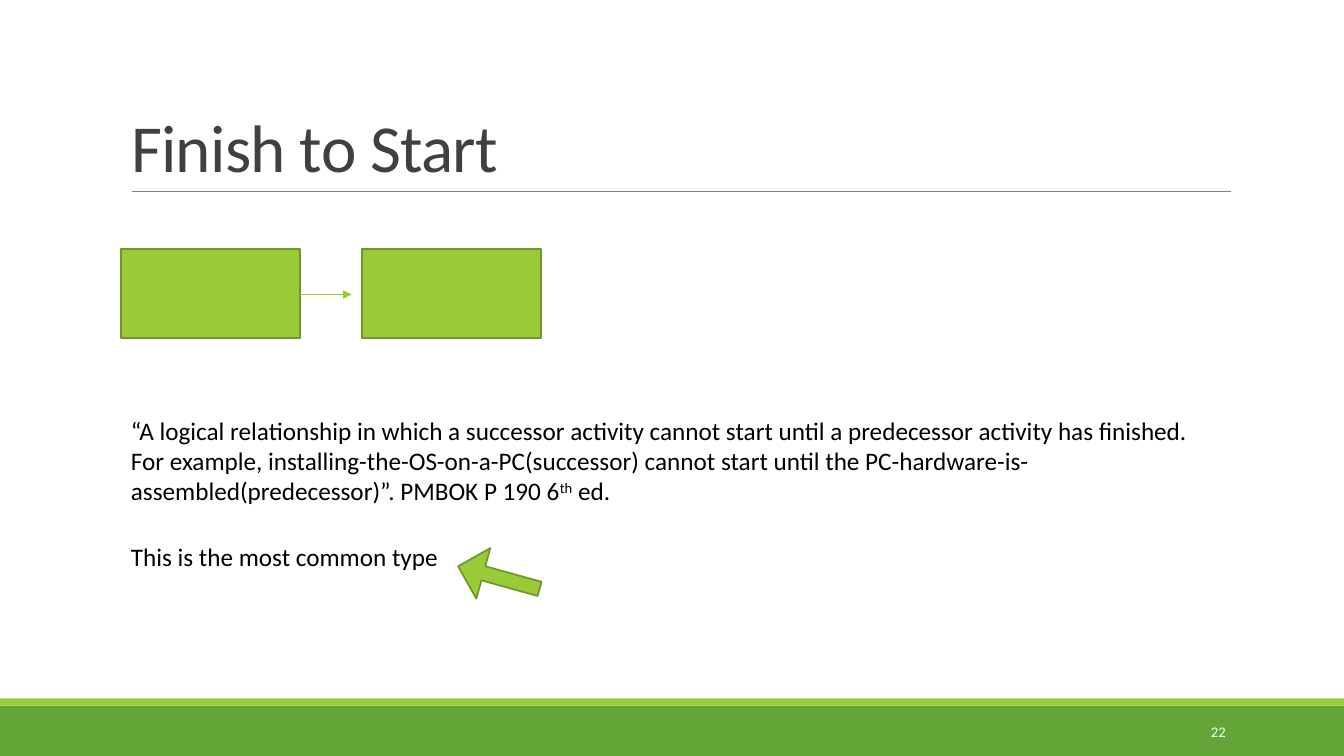
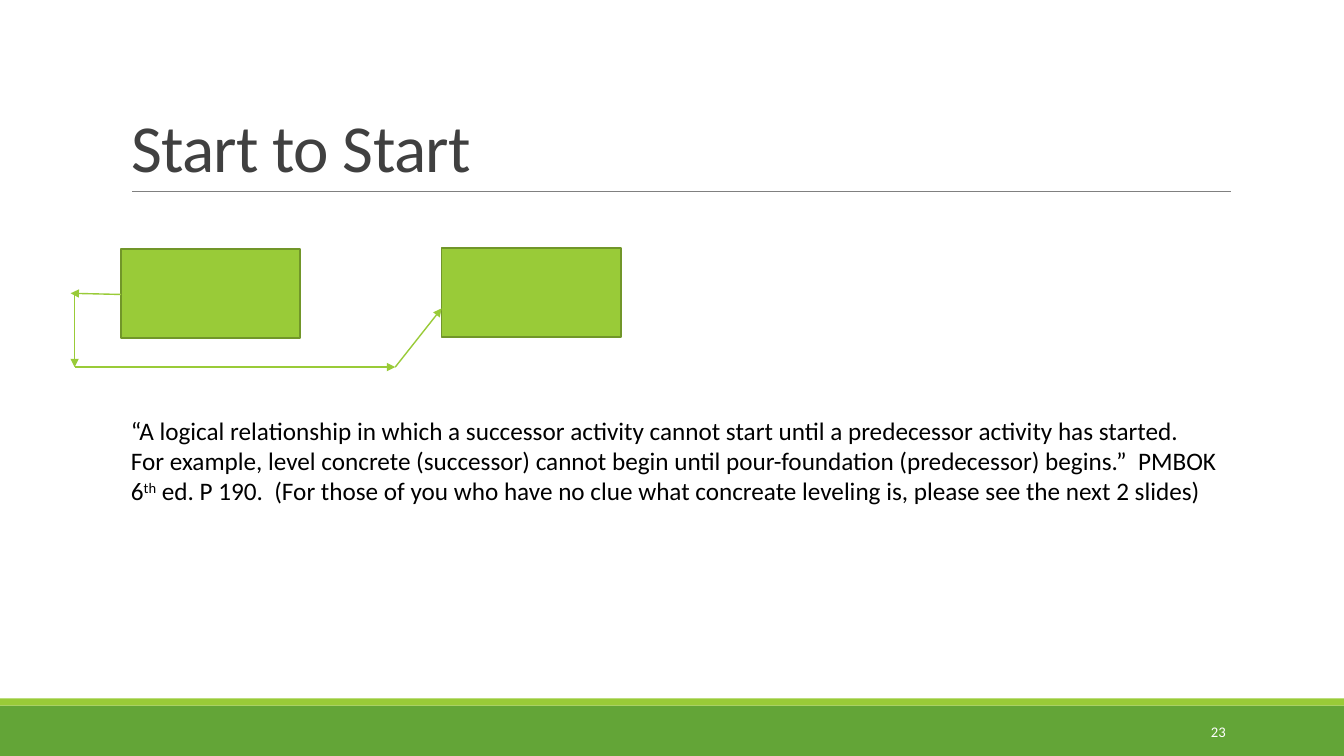
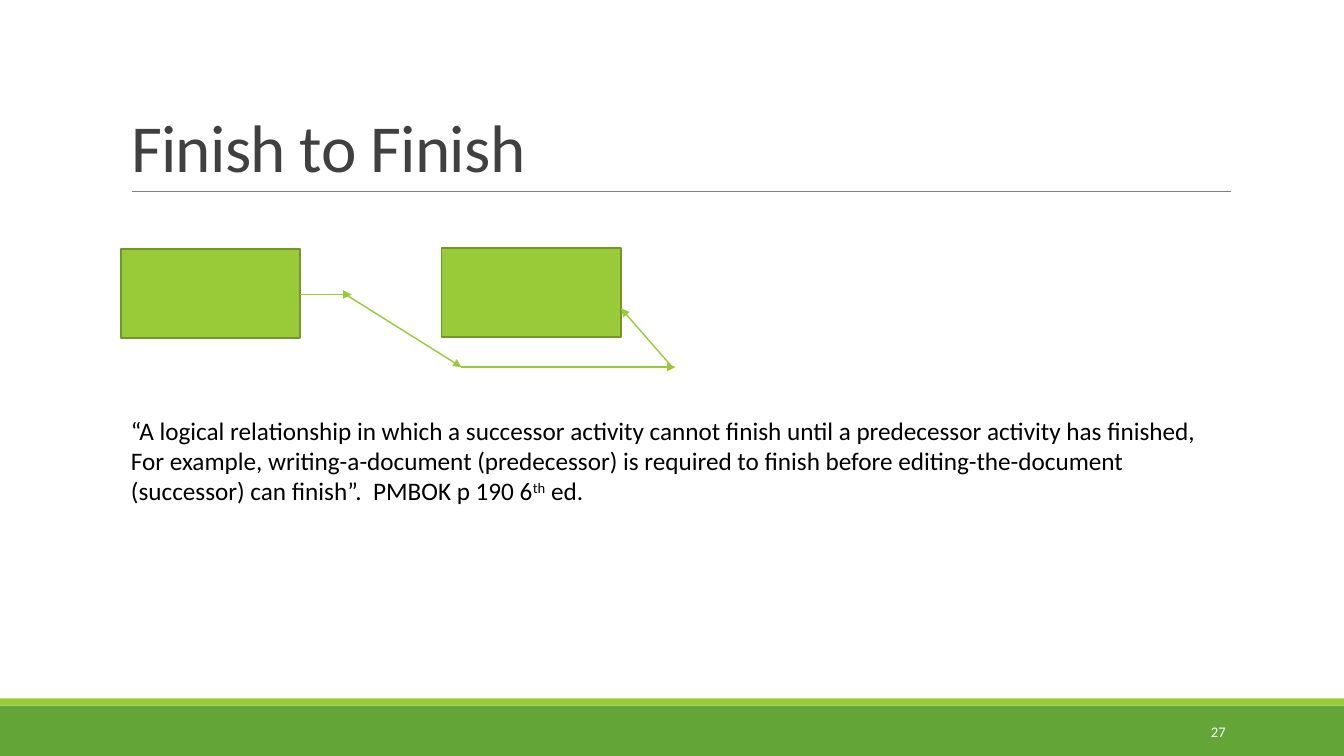
import dataclasses

import pptx
import pptx.dml.color
import pptx.enum.shapes
import pptx.enum.text
import pptx.oxml.xmlchemy
import pptx.util

Cm = pptx.util.Cm
Pt = pptx.util.Pt
SHAPE = pptx.enum.shapes.MSO_SHAPE
ALIGN = pptx.enum.text.PP_ALIGN
ANCHOR = pptx.enum.text.MSO_ANCHOR
TITLE_ONLY = 5


def color(value):
    return pptx.dml.color.RGBColor.from_string(value)


@dataclasses.dataclass(frozen=True)
class Theme:
    font: str = "Calibri"
    lime: str = "99CB38"
    lime_edge: str = "719629"
    green: str = "63A537"
    rule: str = "808080"
    title: str = "404040"
    body: str = "000000"
    number: str = "FFFFFF"
    title_size: float = 48
    body_size: float = 18
    number_size: float = 10.5
    rule_width: float = 0.5
    arrow_width: float = 1
    edge_width: float = 1.25


THEME = Theme()
SLIDE_WIDTH, SLIDE_HEIGHT = 33.87, 19.05
LEFT, CONTENT_WIDTH = 3.05, 27.94
BOX_WIDTH, BOX_HEIGHT, BOX_TOP = 4.52, 2.24, 6.27
BOX_MIDDLE, BOX_RIGHT = 7.42, LEFT + BOX_WIDTH
FAR_BOX = (11.13, 6.25)
FAR_BOX_RIGHT = FAR_BOX[0] + BOX_WIDTH
ENTRY_Y, LOW_Y = 7.77, 9.25
FINISH_ARROW = ((BOX_RIGHT, BOX_MIDDLE), (8.86, BOX_MIDDLE))

RELATIONSHIPS = [
    {
        "title": "Finish to Start",
        "number": "22",
        "successor": (9.12, BOX_TOP),
        "arrows": [FINISH_ARROW],
        "definition": [
            "“A logical relationship in which a successor activity cannot start until a "
            "predecessor activity has finished.  For example, installing-the-OS-on-a-PC"
            "(successor) cannot start until the PC-hardware-is-assembled(predecessor)”. "
            "PMBOK P 190 6", "th", " ed."],
        "remark": "This is the most common type",
    },
    {
        "title": "Start to Start",
        "number": "23",
        "successor": FAR_BOX,
        "arrows": [
            ((LEFT, BOX_MIDDLE), (1.78, 7.39)),
            ((1.88, 7.39), (1.88, LOW_Y)),
            ((1.88, LOW_Y), (9.96, LOW_Y)),
            ((9.96, LOW_Y), (FAR_BOX[0], ENTRY_Y)),
        ],
        "definition": [
            "“A logical relationship in which a successor activity cannot start until a "
            "predecessor activity has started.  For example, level concrete (successor) "
            "cannot begin until pour-foundation (predecessor) begins.”  PMBOK 6", "th",
            " ed. P 190.  (For those of you who have no clue what concreate leveling is, "
            "please see the next 2 slides)"],
    },
    {
        "title": "Finish to Finish",
        "number": "27",
        "successor": FAR_BOX,
        "arrows": [
            FINISH_ARROW,
            ((8.71, BOX_MIDDLE), (11.63, LOW_Y)),
            ((11.63, LOW_Y), (17.02, LOW_Y)),
            ((16.94, LOW_Y), (FAR_BOX_RIGHT, ENTRY_Y)),
        ],
        "definition": [
            "“A logical relationship in which a successor activity cannot finish until a "
            "predecessor activity has finished,  For example, writing-a-document "
            "(predecessor) is required to finish before editing-the-document (successor) "
            "can finish”.  PMBOK p 190 6", "th", " ed."],
    },
]


def apply_format(target, values):
    for name, value in values.items():
        setattr(target, name, value)


def format_font(font, size, text_color):
    apply_format(font, {"name": THEME.font, "size": Pt(size)})
    font.color.rgb = color(text_color)


def add_filled_shape(slide, kind, left, top, width, height, fill, edge=None):
    shape = slide.shapes.add_shape(kind, Cm(left), Cm(top), Cm(width), Cm(height))
    shape.shadow.inherit = False
    shape.fill.solid()
    shape.fill.fore_color.rgb = color(fill)
    if edge:
        shape.line.color.rgb = color(edge)
        shape.line.width = Pt(THEME.edge_width)
    else:
        shape.line.fill.background()
    return shape


def add_line(slide, start, end, line_color, width, arrow=False):
    connector = slide.shapes.add_connector(
        pptx.enum.shapes.MSO_CONNECTOR.STRAIGHT, *map(Cm, start + end))
    connector.line.color.rgb = color(line_color)
    connector.line.width = Pt(width)
    if arrow:
        tail = pptx.oxml.xmlchemy.OxmlElement("a:tailEnd")
        tail.set("type", "triangle")
        connector.line._get_or_add_ln().append(tail)
    connector.element.spPr.append(pptx.oxml.xmlchemy.OxmlElement("a:effectLst"))
    return connector


def add_text(slide, left, top, width, height, runs, size, text_color,
             wrap=True, anchor=ANCHOR.TOP, alignment=ALIGN.LEFT):
    """Add a one-paragraph text box; every second run is superscript."""
    box = slide.shapes.add_textbox(Cm(left), Cm(top), Cm(width), Cm(height))
    apply_format(box.text_frame, {"word_wrap": wrap, "vertical_anchor": anchor})
    paragraph = box.text_frame.paragraphs[0]
    paragraph.alignment = alignment
    for index, text in enumerate(runs):
        run = paragraph.add_run()
        run.text = text
        format_font(run.font, size, text_color)
        if index % 2:
            run.font._element.set("baseline", "30000")


def set_title(slide, text):
    title = slide.shapes.title
    apply_format(title, {"left": Cm(LEFT), "top": Cm(0.79),
                         "width": Cm(CONTENT_WIDTH), "height": Cm(4.04)})
    apply_format(title.text_frame, {
        "text": text, "word_wrap": True, "vertical_anchor": ANCHOR.BOTTOM,
        "auto_size": pptx.enum.text.MSO_AUTO_SIZE.NONE})
    paragraph = title.text_frame.paragraphs[0]
    apply_format(paragraph, {"alignment": ALIGN.LEFT, "line_spacing": 0.85})
    font = paragraph.runs[0].font
    format_font(font, THEME.title_size, THEME.title)
    font._element.set("spc", "-50")


def decorate_layout(slide):
    """Draw the bands and title rule, then move them to the slide's layout."""
    decorations = [
        add_filled_shape(slide, SHAPE.RECTANGLE, 0, 17.78, SLIDE_WIDTH, 1.27, THEME.green),
        add_filled_shape(slide, SHAPE.RECTANGLE, 0, 17.6, SLIDE_WIDTH, 0.18, THEME.lime),
        add_line(slide, (3.33, 4.83), (31.01, 4.83), THEME.rule, THEME.rule_width),
    ]
    layout_tree = slide.slide_layout.element.cSld.spTree
    for placeholder in list(slide.slide_layout.placeholders):
        if placeholder.placeholder_format.idx:
            layout_tree.remove(placeholder.element)
    for identifier, shape in enumerate(decorations, start=101):
        shape.element.xpath(".//p:cNvPr")[0].set("id", str(identifier))
        layout_tree.append(shape.element)


def add_activity(slide, left, top):
    add_filled_shape(slide, SHAPE.RECTANGLE, left, top, BOX_WIDTH, BOX_HEIGHT,
                     THEME.lime, THEME.lime_edge)


def add_remark(slide, text):
    """Add a short remark with a block arrow pointing at it."""
    add_text(slide, LEFT, 13.51, 8.33, 1.02, [text], THEME.body_size, THEME.body, wrap=False)
    pointer = add_filled_shape(slide, SHAPE.DOWN_ARROW, 11.91, 13.49, 1.32, 2.13,
                               THEME.lime, THEME.lime_edge)
    pointer.rotation = 105.5
    pointer.adjustments[0] = 0.28


def add_relationship(slide, relationship):
    set_title(slide, relationship["title"])
    add_activity(slide, LEFT, BOX_TOP)
    add_activity(slide, *relationship["successor"])
    for start, end in relationship["arrows"]:
        add_line(slide, start, end, THEME.lime, THEME.arrow_width, arrow=True)
    add_text(slide, LEFT, 10.34, CONTENT_WIDTH, 2.57, relationship["definition"],
             THEME.body_size, THEME.body)
    if "remark" in relationship:
        add_remark(slide, relationship["remark"])
    add_text(slide, 27.51, 17.93, 3.63, 1.02, [relationship["number"]], THEME.number_size,
             THEME.number, anchor=ANCHOR.MIDDLE, alignment=ALIGN.RIGHT)


def main():
    presentation = pptx.Presentation()
    apply_format(presentation, {"slide_width": Cm(SLIDE_WIDTH),
                                "slide_height": Cm(SLIDE_HEIGHT)})
    layout = presentation.slide_layouts[TITLE_ONLY]
    for index, relationship in enumerate(RELATIONSHIPS):
        slide = presentation.slides.add_slide(layout)
        if index == 0:
            decorate_layout(slide)
        add_relationship(slide, relationship)
    presentation.save("out.pptx")


if __name__ == "__main__":
    main()
